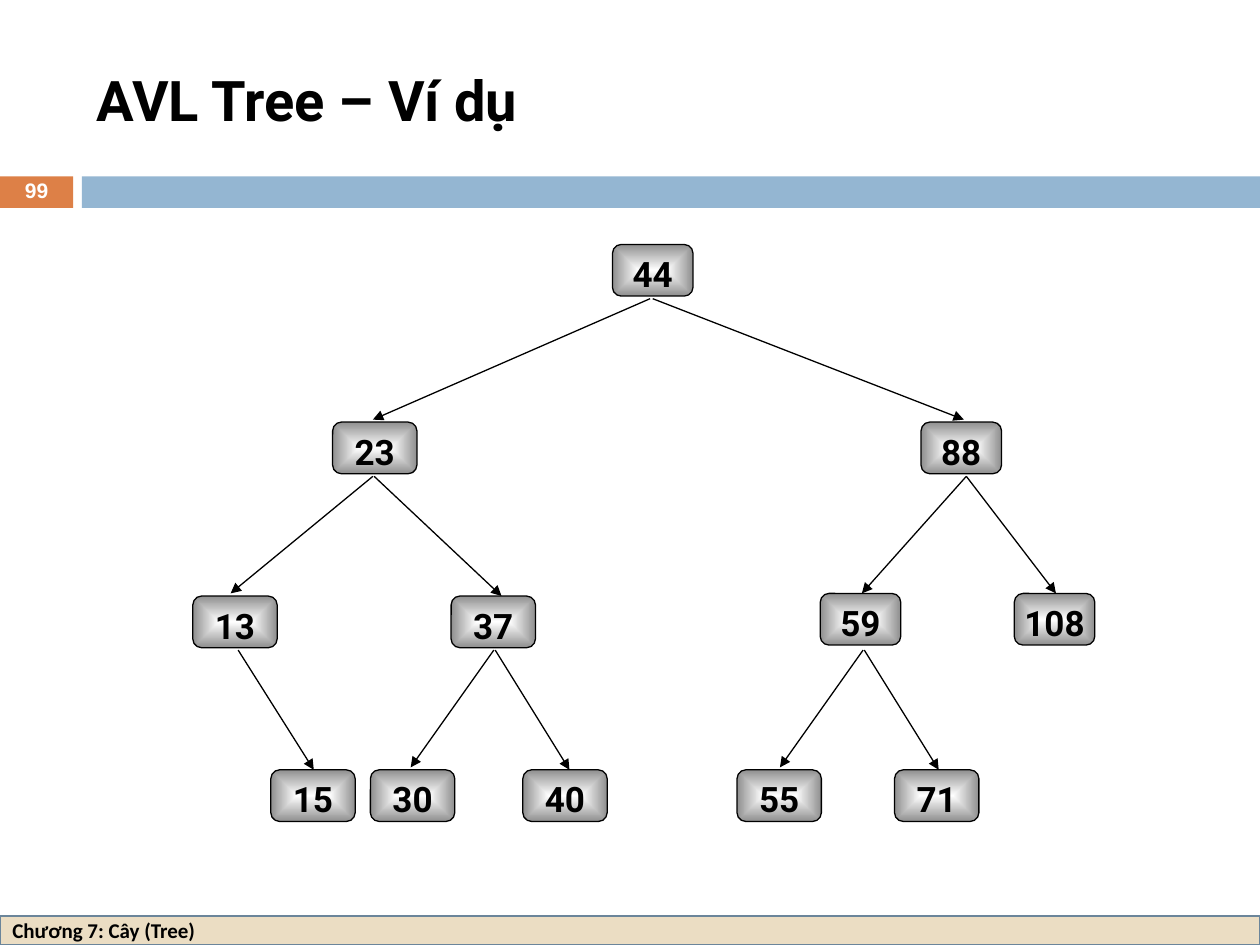
from dataclasses import dataclass

from lxml import etree
from pptx import Presentation
from pptx.dml.color import RGBColor
from pptx.enum.shapes import MSO_CONNECTOR, MSO_SHAPE
from pptx.enum.text import MSO_ANCHOR, PP_ALIGN
from pptx.oxml.ns import qn
from pptx.util import Pt

RECTANGLE = MSO_SHAPE.RECTANGLE
ROUNDED = MSO_SHAPE.ROUNDED_RECTANGLE
STRAIGHT = MSO_CONNECTOR.STRAIGHT
TOP, MIDDLE = MSO_ANCHOR.TOP, MSO_ANCHOR.MIDDLE
LEFT, CENTER = PP_ALIGN.LEFT, PP_ALIGN.CENTER


@dataclass(frozen=True)
class Theme:
    ink: str = "000000"
    paper: str = "FFFFFF"
    accent: str = "DD8047"
    band: str = "94B6D2"
    footer: str = "EBDDC3"
    footer_line: str = "6B859A"
    node_edge: str = "8F8F8F"
    title_size: float = 32
    node_size: float = 20
    small_size: float = 12
    thin: float = 0.75
    thick: float = 1.5
    main_font: str = "Roboto"
    footer_font: str = "Calibri"
    number_font: str = "Arial"


THEME = Theme()
NODE_HEIGHT = 29.5
NARROW, WIDE = 46, 48.2

NODES = [
    ("44", 240, 0, NARROW),
    ("23", 80.1, 101.5, WIDE),
    ("88", 416.3, 101.5, NARROW),
    ("13", 0.2, 200.9, WIDE),
    ("37", 147.8, 200.9, WIDE),
    ("59", 358.7, 199.4, NARROW),
    ("108", 469.6, 199.4, NARROW),
    ("15", 44.8, 300.2, WIDE),
    ("30", 101.7, 300.2, WIDE),
    ("40", 188.8, 300.2, WIDE),
    ("55", 311.2, 300.2, WIDE),
    ("71", 401.2, 300.2, WIDE),
]

EDGES = [
    (261.5, 31, 103.1, 100.1),
    (263, 31, 440.8, 100.1),
    (103.8, 132.5, 176.6, 200.9),
    (103.1, 132.5, 21.8, 199.4),
    (442.2, 132.5, 382.5, 199.4),
    (442.2, 132.5, 493.4, 199.4),
    (173, 231.8, 215.4, 300.2),
    (172.2, 231.8, 124.7, 298.8),
    (383.9, 231.8, 426.4, 300.2),
    (383.2, 231.8, 335.7, 298.8),
    (26.1, 231.8, 69.3, 300.2),
]


def color(value):
    return RGBColor.from_string(value)


def write(shape, text, size, font, ink=THEME.ink, align=LEFT, anchor=MIDDLE, spacing=1.0):
    frame = shape.text_frame
    frame.text = text
    frame.word_wrap = True
    frame.vertical_anchor = anchor
    paragraph = frame.paragraphs[0]
    paragraph.alignment = align
    paragraph.line_spacing = spacing
    run = paragraph.runs[0]
    run.font.size = Pt(size)
    run.font.name = font
    run.font.bold = True
    run.font.color.rgb = color(ink)


def add_block(slide, box, fill):
    shape = slide.shapes.add_shape(RECTANGLE, *map(Pt, box))
    shape.shadow.inherit = False
    shape.fill.solid()
    shape.fill.fore_color.rgb = color(fill)
    shape.line.fill.background()
    return shape


def add_title(slide, box):
    title = slide.shapes.add_textbox(*map(Pt, box))
    write(title, "AVL Tree – Ví dụ", THEME.title_size, THEME.main_font)


def add_header_band(slide, box):
    left, top, width, height = box
    number_width, gap = 41.9, 4.9
    number = add_block(slide, (left, top, number_width, height), THEME.accent)
    write(number, "99", THEME.small_size, THEME.number_font, THEME.paper, CENTER, spacing=0.8)
    offset = number_width + gap
    add_block(slide, (left + offset, top, width - offset, height), THEME.band)


def add_footer(slide, box):
    footer = add_block(slide, box, THEME.footer)
    footer.line.color.rgb = color(THEME.footer_line)
    footer.line.width = Pt(THEME.thick)
    write(footer, "Chương 7: Cây (Tree)", THEME.small_size, THEME.footer_font)


def fill_from_center(shape):
    shape.fill.gradient()
    for stop, value in zip(shape.fill.gradient_stops, (THEME.paper, THEME.node_edge)):
        stop.color.rgb = color(value)
    gradient = shape.element.spPr.find(qn("a:gradFill"))
    gradient.remove(gradient.find(qn("a:lin")))
    path = etree.SubElement(gradient, qn("a:path"), {"path": "rect"})
    sides = dict.fromkeys(("l", "t", "r", "b"), "50000")
    etree.SubElement(path, qn("a:fillToRect"), sides)


def add_node(group, box, value):
    node = group.shapes.add_shape(ROUNDED, *map(Pt, box))
    node.shadow.inherit = False
    node.adjustments[0] = 0.17
    fill_from_center(node)
    node.line.color.rgb = color(THEME.ink)
    node.line.width = Pt(THEME.thin)
    frame = node.text_frame
    frame.margin_left = frame.margin_right = frame.margin_top = frame.margin_bottom = 0
    write(node, value, THEME.node_size, THEME.main_font, align=CENTER, anchor=TOP, spacing=1.13)


def add_arrow(group, ends):
    arrow = group.shapes.add_connector(STRAIGHT, *map(Pt, ends))
    arrow.line.color.rgb = color(THEME.ink)
    arrow.line.width = Pt(THEME.thin)
    properties = arrow.element.spPr
    etree.SubElement(properties.find(qn("a:ln")), qn("a:tailEnd"), {"type": "triangle"})
    etree.SubElement(properties, qn("a:effectLst"))


def add_tree(slide, left, top):
    group = slide.shapes.add_group_shape()
    for x1, y1, x2, y2 in EDGES:
        add_arrow(group, (left + x1, top + y1, left + x2, top + y2))
    for value, x, y, width in NODES:
        add_node(group, (left + x, top + y, width, NODE_HEIGHT), value)


def main():
    presentation = Presentation()
    presentation.slide_width, presentation.slide_height = Pt(720), Pt(540)
    slide = presentation.slides.add_slide(presentation.slide_layouts[6])
    add_header_band(slide, (0, 100.8, 720, 18))
    add_footer(slide, (0, 523.4, 720, 16.6))
    add_title(slide, (48.2, 18, 642.2, 77.8))
    add_tree(slide, 110, 139.7)
    presentation.save("out.pptx")


if __name__ == "__main__":
    main()
